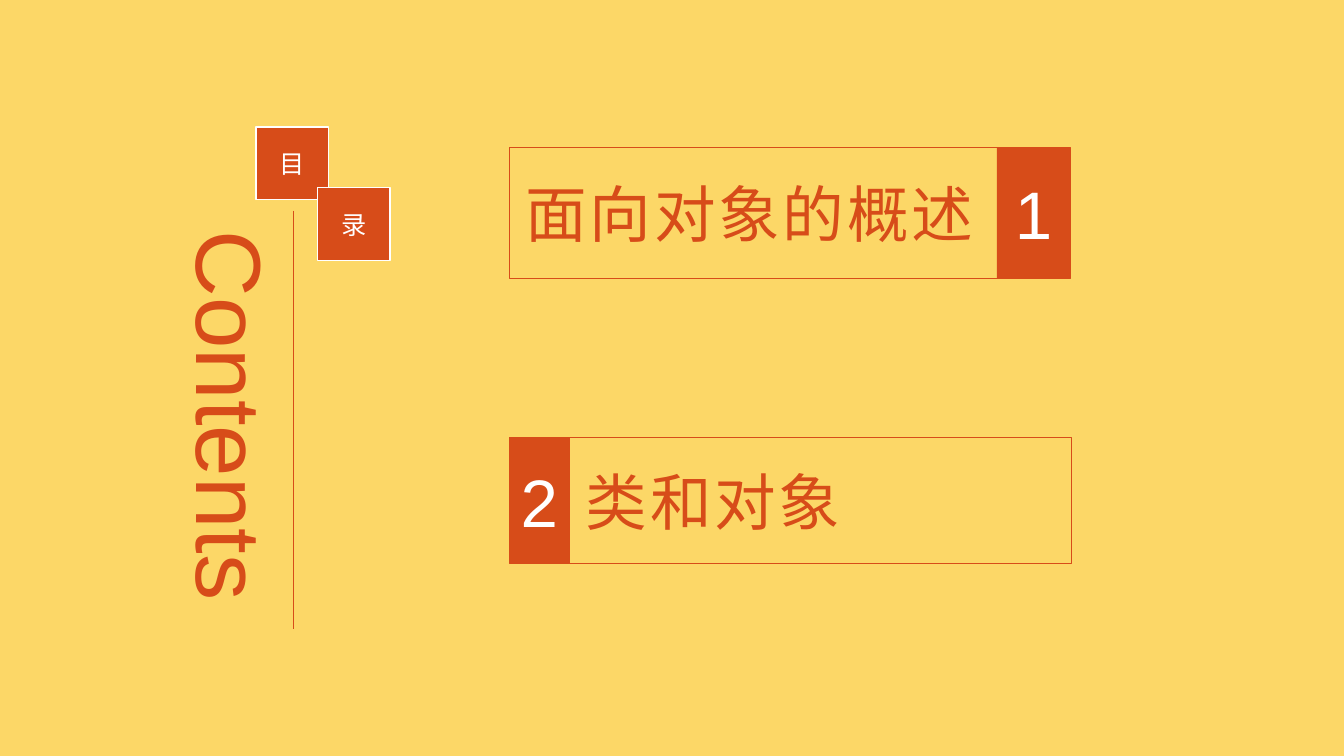
import pptx
import pptx.dml.color
import pptx.enum.shapes
import pptx.enum.text
import pptx.oxml.ns
import pptx.util
from lxml import etree
from pptx.util import Cm, Pt

ORANGE = "D74C19"
WHITE = "FFFFFF"
YELLOW = "FCD767"
ALIGN = pptx.enum.text.PP_ALIGN


def color(value):
    return pptx.dml.color.RGBColor.from_string(value)


def write(shape, text, size, text_color, font="Arial", align=ALIGN.CENTER, spacing=0):
    shape.text_frame.word_wrap = True
    paragraph = shape.text_frame.paragraphs[0]
    paragraph.text = text
    paragraph.alignment = align
    paragraph.font.name = font
    paragraph.font.size = Pt(size)
    paragraph.font.color.rgb = color(text_color)
    properties = paragraph.runs[0]._r.get_or_add_rPr()
    if spacing:
        properties.set("spc", str(spacing * 100))
    east_asian = etree.SubElement(properties, pptx.oxml.ns.qn("a:ea"))
    east_asian.set("typeface", "Noto Sans CJK SC")


presentation = pptx.Presentation()
presentation.slide_width = Cm(33.87)
presentation.slide_height = Cm(19.05)
slide = presentation.slides.add_slide(presentation.slide_layouts[6])
slide.background.fill.solid()
slide.background.fill.fore_color.rgb = color(YELLOW)

title_width = 12.65
boxes = [
    ("面向对象的概述", 12.83, 3.71, title_width, 3.3, False),
    ("1", 25.12, 3.71, 1.85, 3.3, True),
    ("类和对象", 14.35, 11.02, title_width, 3.18, False),
    ("2", 12.83, 11.02, 1.52, 3.18, True),
]
for text, left, top, width, height, is_number in boxes:
    box = slide.shapes.add_shape(
        pptx.enum.shapes.MSO_SHAPE.RECTANGLE, Cm(left), Cm(top), Cm(width), Cm(height))
    box.shadow.inherit = False
    box.line.color.rgb = color(ORANGE)
    box.line.width = Pt(0.25)
    box.text_frame.vertical_anchor = pptx.enum.text.MSO_ANCHOR.MIDDLE
    if is_number:
        box.fill.solid()
        box.fill.fore_color.rgb = color(ORANGE)
        write(box, text, 48, WHITE)
    else:
        box.fill.background()
        box.text_frame.margin_left = Cm(0.41)
        write(box, text, 44, ORANGE, align=ALIGN.LEFT, spacing=2)

contents = slide.shapes.add_textbox(Cm(0.51), Cm(8.94), Cm(10.74), Cm(3.07))
contents.rotation = 90
write(contents, "Contents", 66, ORANGE)

divider = slide.shapes.add_connector(
    pptx.enum.shapes.MSO_CONNECTOR.STRAIGHT, Cm(7.39), Cm(5.31), Cm(7.39), Cm(15.85))
divider.line.color.rgb = color(ORANGE)
divider.line.width = Pt(0.5)
etree.SubElement(divider._element.spPr, pptx.oxml.ns.qn("a:effectLst"))

for index, character in enumerate("目录"):
    square = slide.shapes.add_shape(
        pptx.enum.shapes.MSO_SHAPE.RECTANGLE,
        Cm(6.45 + 1.55 * index), Cm(3.2 + 1.53 * index), Cm(1.83), Cm(1.83))
    square.shadow.inherit = False
    square.fill.solid()
    square.fill.fore_color.rgb = color(ORANGE)
    square.line.color.rgb = color(WHITE)
    square.line.width = Pt(1)
    square.text_frame.vertical_anchor = pptx.enum.text.MSO_ANCHOR.MIDDLE
    write(square, character, 18, WHITE, font="Noto Sans CJK SC")

presentation.save("out.pptx")
